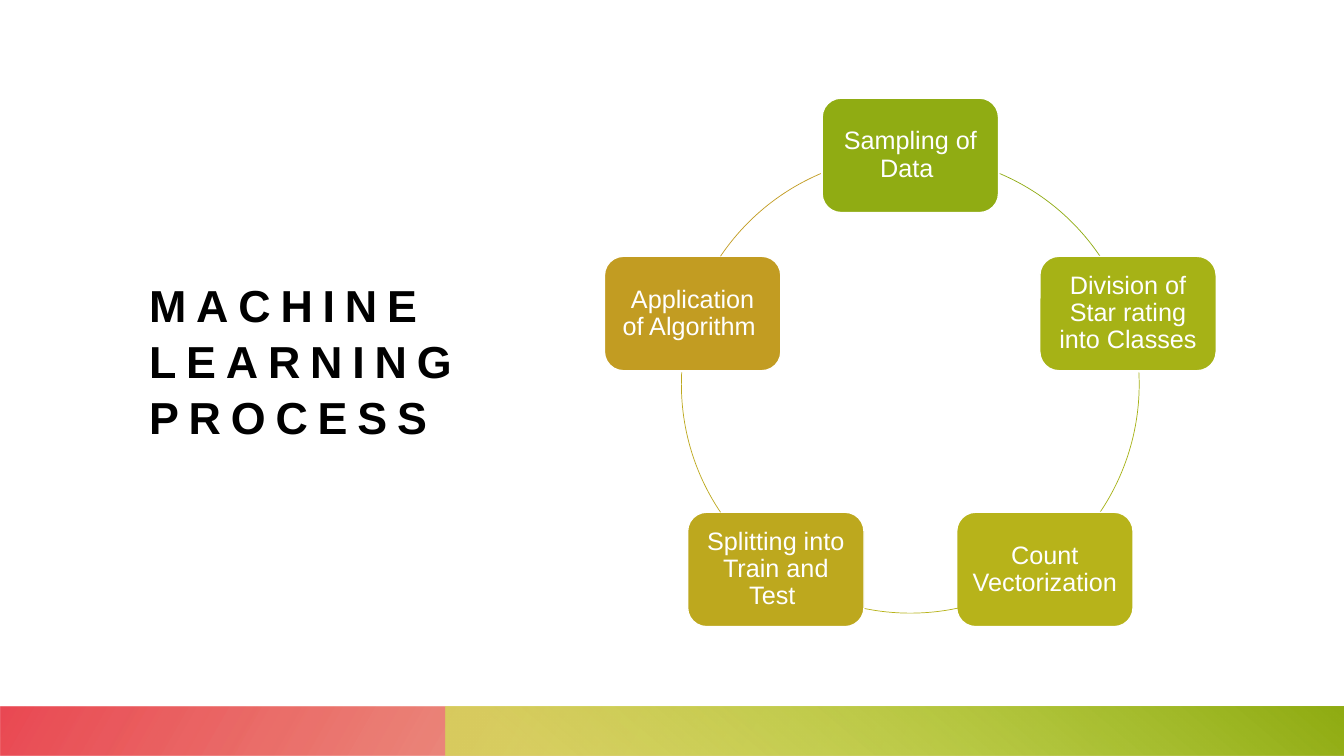
import math

from pptx import Presentation
from pptx.dml.color import RGBColor
from pptx.enum.shapes import MSO_SHAPE
from pptx.enum.text import MSO_ANCHOR, PP_ALIGN
from pptx.oxml.ns import qn
from pptx.util import Emu, Pt

RECTANGLE = MSO_SHAPE.RECTANGLE
ROUNDED = MSO_SHAPE.ROUNDED_RECTANGLE
ARC = MSO_SHAPE.ARC
MIDDLE = MSO_ANCHOR.MIDDLE
LEFT = PP_ALIGN.LEFT
CENTER = PP_ALIGN.CENTER

PX = 9525
WIDTH, HEIGHT = 1280, 720
FONT = "Arial"
COLORS = {
    "white": "FFFFFF",
    "black": "000000",
    "orange": "D55917",
    "red": "E72936",
    "lime": "D0EC53",
    "green": "90AC13",
    "leaf": "A6B216",
    "olive": "B7B31A",
    "mustard": "BDA81E",
    "ochre": "C29C22",
}
STEPS = [
    ("Sampling of Data ", "green", (293, 326)),
    ("Division of Star rating into Classes", "leaf", (357, 34)),
    ("Count Vectorization ", "olive", (78, 102)),
    ("Splitting into Train and Test ", "mustard", (146, 183)),
    ("Application of Algorithm ", "ochre", (214, 247)),
]
RING_X, RING_Y, RING_RADIUS = 867, 366, 218
STEP_WIDTH, STEP_HEIGHT = 168, 109


def px(length):
    """Turn pixels into EMU."""
    return Emu(round(length * PX))


def rgb(name):
    """Look up a palette colour."""
    return RGBColor.from_string(COLORS[name])


def add_preset(slide, preset, left, top, width, height):
    """Add a shadowless preset shape."""
    shape = slide.shapes.add_shape(preset, px(left), px(top), px(width), px(height))
    shape.shadow.inherit = False
    return shape


def write_text(shape, text, *, size, color, bold=False, align=LEFT,
               line_spacing=1.0, inset=0, tracking=0):
    """Write one formatted paragraph into a shape."""
    frame = shape.text_frame
    frame.word_wrap = True
    frame.vertical_anchor = MIDDLE
    frame.margin_left = frame.margin_right = px(inset)
    frame.margin_top = frame.margin_bottom = px(inset)
    paragraph = frame.paragraphs[0]
    paragraph.alignment = align
    paragraph.line_spacing = line_spacing
    run = paragraph.add_run()
    run.text = text
    run.font.name = FONT
    run.font.size = Pt(size)
    run.font.bold = bold
    run.font.color.rgb = rgb(color)
    if tracking:
        run.font._element.set("spc", str(tracking * 100))


def add_footer_bar(slide, left, width, angle, stops, rotation=0):
    """Add a mirrored footer bar with a translucent gradient."""
    bar = add_preset(slide, RECTANGLE, left, 673, width, 47)
    bar.rotation = rotation
    bar._element.spPr.find(qn("a:xfrm")).set("flipH", "1")
    bar.line.fill.background()
    bar.fill.gradient()
    bar.fill.gradient_angle = 360 - angle
    for stop, (position, color, opacity) in zip(bar.fill.gradient_stops, stops):
        stop.position = position / 100
        stop.color.rgb = rgb(color)
    tints = bar._element.spPr.iter(qn("a:srgbClr"))
    for tint, (_, _, opacity) in zip(tints, stops):
        alpha = tint.makeelement(qn("a:alpha"), {"val": str(opacity * 1000)})
        tint.append(alpha)


def add_ring_arc(slide, color, span):
    """Add the arc that leads to the next step."""
    arc = add_preset(slide, ARC, RING_X - RING_RADIUS, RING_Y - RING_RADIUS,
                     2 * RING_RADIUS, 2 * RING_RADIUS)
    for index, degrees in enumerate(span):
        arc.adjustments[index] = degrees * 0.6
    arc.fill.background()
    arc.line.color.rgb = rgb(color)
    arc.line.width = Pt(0.5)


def add_step(slide, index, label, color):
    """Add a process step at its place on the ring."""
    angle = math.radians(360 / len(STEPS) * index - 90)
    left = RING_X + RING_RADIUS * math.cos(angle) - STEP_WIDTH / 2
    top = RING_Y + RING_RADIUS * math.sin(angle) - STEP_HEIGHT / 2
    step = add_preset(slide, ROUNDED, left, top, STEP_WIDTH, STEP_HEIGHT)
    step.fill.solid()
    step.fill.fore_color.rgb = rgb(color)
    step.line.color.rgb = rgb("white")
    step.line.width = Pt(1)
    write_text(step, label, size=18, color="white", align=CENTER,
               line_spacing=0.9, inset=7)


def main():
    """Build the slide and save it."""
    deck = Presentation()
    deck.slide_width, deck.slide_height = px(WIDTH), px(HEIGHT)
    slide = deck.slides.add_slide(deck.slide_layouts[6])

    title = slide.shapes.add_textbox(px(142), px(108), px(349), px(469))
    write_text(title, "MACHINE LEARNING PROCESS", size=32, color="black",
               bold=True, line_spacing=1.04, tracking=7)

    add_footer_bar(slide, 0, WIDTH, 150,
                   [(14, "orange", 28), (100, "red", 85)], rotation=180)
    add_footer_bar(slide, 424, WIDTH - 424, 230,
                   [(9, "lime", 68), (99, "green", 100)])

    for index, (label, color, span) in enumerate(STEPS):
        add_step(slide, index, label, color)
        add_ring_arc(slide, color, span)

    deck.save("out.pptx")


if __name__ == "__main__":
    main()
